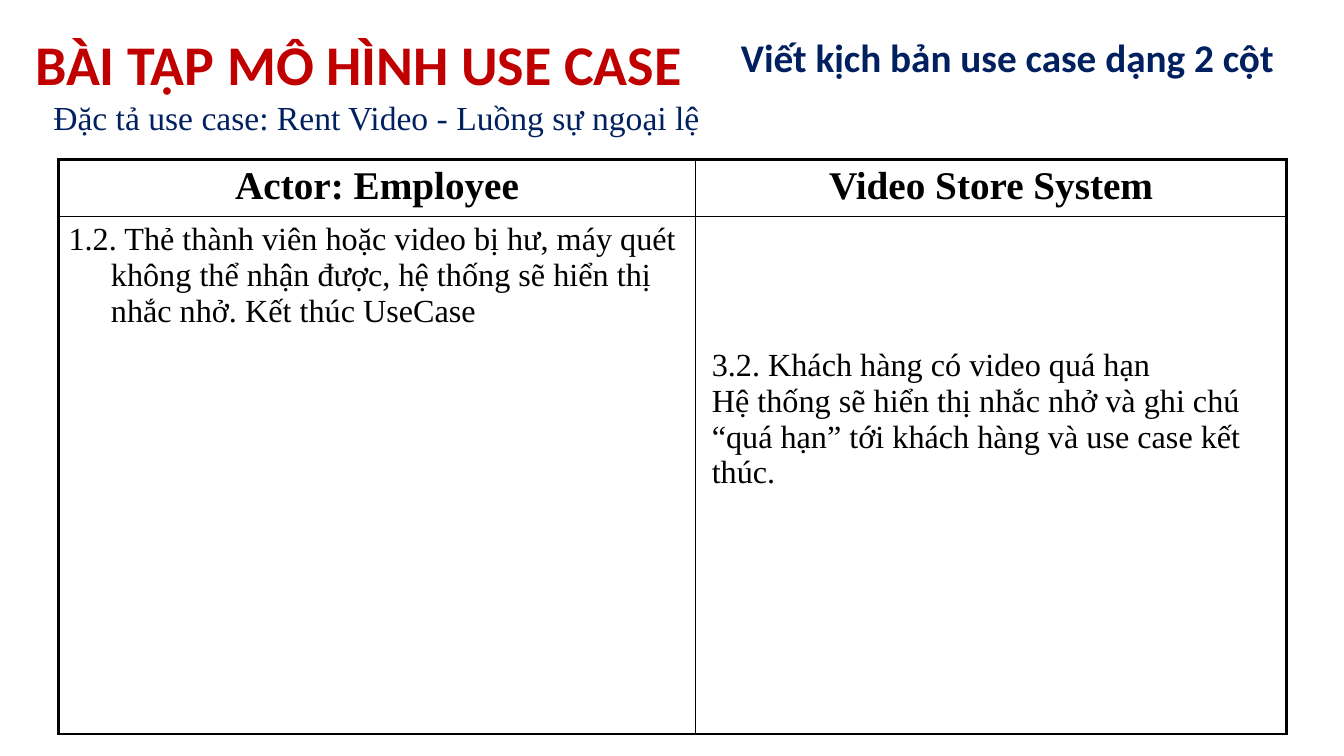
"""Build the two-column use case slide for Rent Video."""
from lxml.etree import SubElement
from pptx import Presentation
from pptx.dml.color import RGBColor
from pptx.enum.text import MSO_ANCHOR, MSO_AUTO_SIZE, PP_ALIGN
from pptx.oxml.ns import qn
from pptx.util import Inches, Pt

RED = RGBColor(0xC0, 0x00, 0x00)
NAVY = RGBColor(0x00, 0x20, 0x60)
BLACK = RGBColor(0x00, 0x00, 0x00)
SERIF = "Times New Roman"


def write(para, text, size, font, color, bold=False):
    run = para.add_run()
    run.text = text
    run.font.size = Pt(size)
    run.font.name = font
    run.font.color.rgb = color
    run.font.bold = bold


def border(cell, side, width):
    line = SubElement(cell._tc.get_or_add_tcPr(), qn(f"a:ln{side}"), w=str(Pt(width)))
    if width:
        fill = SubElement(line, qn("a:solidFill"))
        SubElement(fill, qn("a:srgbClr"), val=str(BLACK))
    else:
        SubElement(line, qn("a:noFill"))


deck = Presentation()
deck.slide_width = Inches(13.33)
deck.slide_height = Inches(7.5)
slide = deck.slides.add_slide(deck.slide_layouts[5])

title = slide.shapes.title
title.left, title.top = Inches(0.25), Inches(0.02)
title.width, title.height = Inches(9.5), Inches(1)
frame = title.text_frame
frame.auto_size = MSO_AUTO_SIZE.NONE
frame.vertical_anchor = MSO_ANCHOR.BOTTOM
para = frame.paragraphs[0]
para.alignment = PP_ALIGN.LEFT
para.line_spacing = 0.9
write(para, "BÀI TẬP MÔ HÌNH USE CASE", 40, "Calibri", RED, True)

notes = [
    (0.43, 0.75, 12.48, PP_ALIGN.LEFT,
     "Đặc tả use case: Rent Video - Luồng sự ngoại lệ", 24, SERIF, False),
    (5.49, 0.15, 9, PP_ALIGN.CENTER,
     "Viết kịch bản use case dạng 2 cột", 28, "Calibri", True),
]
for left, top, width, align, text, size, font, bold in notes:
    box = slide.shapes.add_textbox(Inches(left), Inches(top), Inches(width), Inches(0.83))
    frame = box.text_frame
    frame.word_wrap = True
    frame.vertical_anchor = MSO_ANCHOR.MIDDLE
    para = frame.paragraphs[0]
    para.alignment = align
    write(para, text, size, font, NAVY, bold)

cols = [6.32, 5.86]
rows = [0.57, 1.16, 1.53, 1, 1.25]
table = slide.shapes.add_table(
    len(rows), len(cols), Inches(0.58), Inches(1.58),
    Inches(sum(cols)), Inches(sum(rows))).table
table.first_row = False
table.horz_banding = False
for col, width in zip(table.columns, cols):
    col.width = Inches(width)
for row, height in zip(table.rows, rows):
    row.height = Inches(height)

last = len(rows) - 1
for r in range(len(rows)):
    for c in range(len(cols)):
        cell = table.cell(r, c)
        border(cell, "L", 2.25 if c == 0 else 1)
        border(cell, "R", 1 if c == 0 else 2.25)
        border(cell, "T", {0: 2.25, 1: 1}.get(r, 0))
        border(cell, "B", {0: 1, last: 2.25}.get(r, 0))
        cell.fill.background()

for c, text in enumerate(["Actor: Employee", "Video Store System"]):
    para = table.cell(0, c).text_frame.paragraphs[0]
    para.alignment = PP_ALIGN.CENTER
    write(para, text, 28, SERIF, BLACK, True)

para = table.cell(1, 0).text_frame.paragraphs[0]
props = para._p.get_or_add_pPr()
props.set("marL", str(Inches(0.42)))
props.set("indent", str(Inches(-0.42)))
write(para, "1.2. Thẻ thành viên hoặc video bị hư, máy quét không thể nhận được, "
      "hệ thống sẽ hiển thị nhắc nhở. Kết thúc UseCase", 23, SERIF, BLACK)

para = table.cell(2, 1).text_frame.paragraphs[0]
para.level = 1
props = para._p.get_or_add_pPr()
props.set("marL", str(Inches(0.06)))
props.set("indent", "0")
write(para, "3.2. Khách hàng có video quá hạn", 23, SERIF, BLACK)
para.add_line_break()
write(para, "Hệ thống sẽ hiển thị nhắc nhở và ghi chú “quá hạn” tới khách hàng "
      "và use case kết thúc.", 23, SERIF, BLACK)

deck.save("out.pptx")
